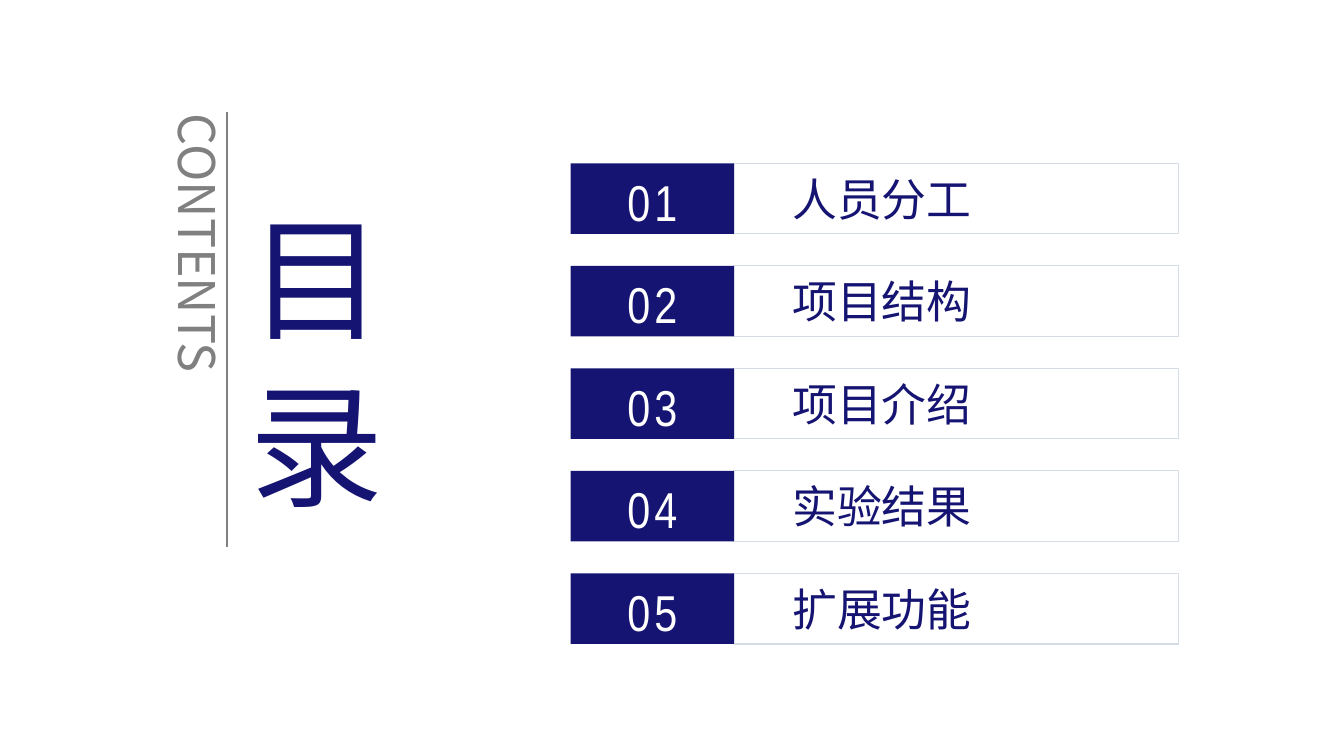
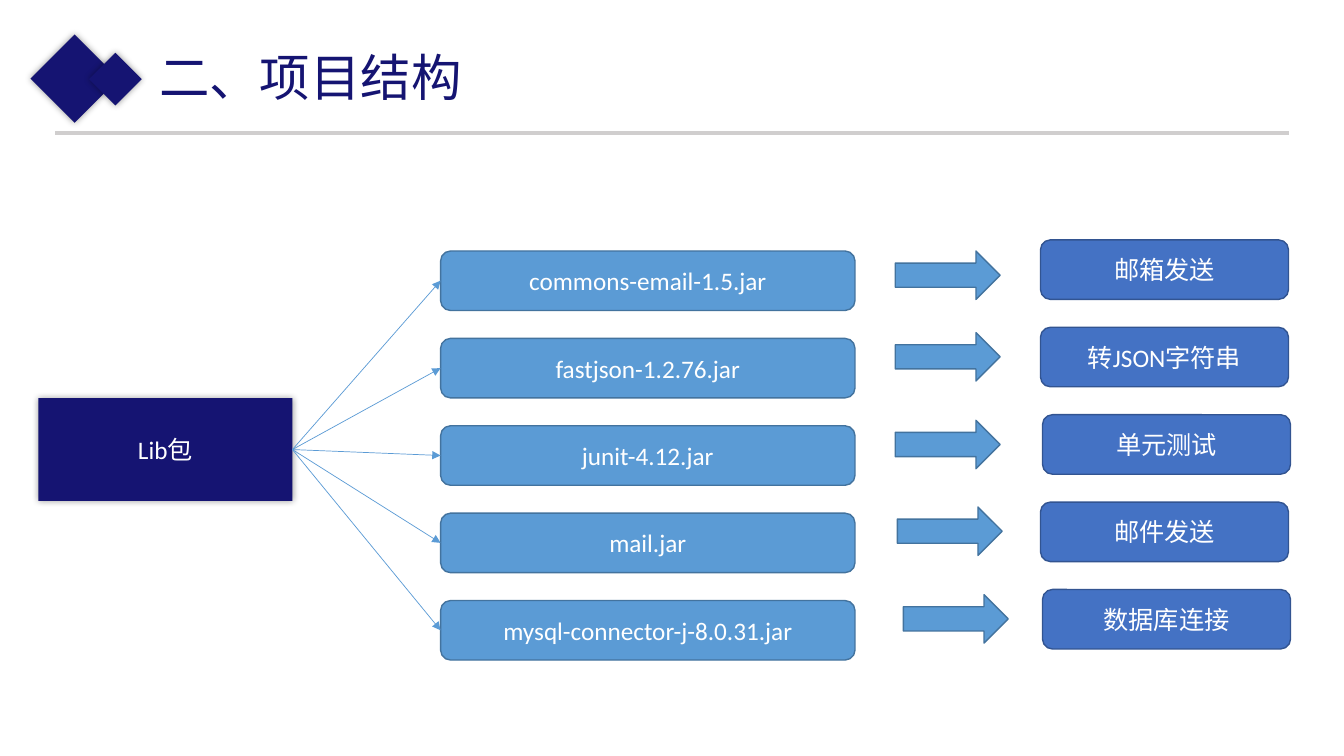
from lxml import etree
from pptx import Presentation
from pptx.dml.color import RGBColor
from pptx.enum.shapes import MSO_CONNECTOR, MSO_SHAPE
from pptx.enum.text import MSO_ANCHOR, MSO_AUTO_SIZE, PP_ALIGN
from pptx.oxml import parse_xml
from pptx.oxml.ns import nsdecls, qn
from pptx.util import Inches, Pt

RECT = MSO_SHAPE.RECTANGLE
ROUNDED = MSO_SHAPE.ROUNDED_RECTANGLE
RIGHT_ARROW = MSO_SHAPE.RIGHT_ARROW
STRAIGHT = MSO_CONNECTOR.STRAIGHT
CENTER = PP_ALIGN.CENTER
MIDDLE = MSO_ANCHOR.MIDDLE
FIT_TEXT = MSO_AUTO_SIZE.SHAPE_TO_FIT_TEXT

NAVY, WHITE, GRAY = "151472", "FFFFFF", "808080"
FRAME_GRAY, RULE_GRAY = "D6DCE5", "D0CECE"
SKY, SKY_EDGE = "5B9BD5", "43739E"
BLUE, BLUE_EDGE = "4472C4", "325491"

HAN_JP, HAN_SC = "Noto Sans CJK JP", "Noto Sans CJK SC"
CALIBRI, NARROW = "Calibri", "Arial Narrow"
RIGHT_SITE, LEFT_SITE = 3, 1

CHAPTERS = ["人员分工", "项目结构", "项目介绍", "实验结果", "扩展功能"]
# library, its use, left of the use box, left and top of the arrow
LIBRARIES = [
    ("commons-email-1.5.jar", "邮箱发送", 10.32, 8.88, 2.49),
    ("fastjson-1.2.76.jar", "转JSON字符串", 10.32, 8.88, 3.3),
    ("junit-4.12.jar", "单元测试", 10.34, 8.88, 4.17),
    ("mail.jar", "邮件发送", 10.32, 8.9, 5.03),
    ("mysql-connector-j-8.0.31.jar", "数据库连接", 10.34, 8.96, 5.9),
]


def rgb(color):
    return RGBColor.from_string(color)


def inches(values):
    return [Inches(value) for value in values]


def write(frame, text, size, color, latin, han=HAN_SC, align=None, spacing=0):
    """Fill a text frame with one paragraph; spacing is in points."""
    paragraph = frame.paragraphs[0]
    paragraph.text = text
    paragraph.alignment = align
    font = paragraph.font
    font.size = Pt(size)
    font.name = latin
    font.color.rgb = rgb(color)
    properties = font._rPr
    etree.SubElement(properties, qn("a:ea")).set("typeface", han)
    if spacing:
        properties.set("spc", str(spacing * 100))


def add_text(slide, at, text, size, color, han, wrap=False, vertical=False):
    box = slide.shapes.add_textbox(*inches(at))
    frame = box.text_frame
    frame.word_wrap = wrap
    frame.auto_size = FIT_TEXT
    if vertical:
        box.element.txBody.bodyPr.set("vert", "eaVert")
    write(frame, text, size, color, han, han)


def add_block(shapes, kind, at, fill=None, edge=None):
    block = shapes.add_shape(kind, *inches(at))
    block.shadow.inherit = False
    if fill:
        block.fill.solid()
        block.fill.fore_color.rgb = rgb(fill)
    else:
        block.fill.background()
    if edge:
        block.line.color.rgb = rgb(edge)
        block.line.width = Pt(1)
    else:
        block.line.fill.background()
    return block


def add_label(block, text, latin=CALIBRI, size=18, han=HAN_SC, spacing=0):
    frame = block.text_frame
    frame.vertical_anchor = MIDDLE
    write(frame, text, size, WHITE, latin, han, CENTER, spacing)


def add_glow(block):
    """Add a soft dark halo around a block."""
    effects = block.element.spPr.find(qn("a:effectLst"))
    effects.append(parse_xml(
        f'<a:outerShdw {nsdecls("a")} blurRad="{Pt(5)}" dist="0" dir="0" '
        'algn="ctr" rotWithShape="0"><a:srgbClr val="000000">'
        '<a:alpha val="40000"/></a:srgbClr></a:outerShdw>'))


def add_line(slide, start, end, color, width):
    line = slide.shapes.add_connector(STRAIGHT, *inches(start + end))
    line.line.color.rgb = rgb(color)
    line.line.width = Pt(width)
    etree.SubElement(line.element.spPr, qn("a:effectLst"))
    return line


def link(slide, source, target):
    """Draw an arrow from the right side of source to the left of target."""
    arrow = add_line(slide, (0, 0), (1, 1), SKY, 0.5)
    arrow.begin_connect(source, RIGHT_SITE)
    arrow.end_connect(target, LEFT_SITE)
    outline = arrow.element.spPr.find(qn("a:ln"))
    etree.SubElement(outline, qn("a:tailEnd")).set("type", "triangle")


def add_header(slide, title):
    add_line(slide, (0.55, 1.32), (12.78, 1.32), RULE_GRAY, 2.25)
    for left, top, side in ((0.43, 0.47, 0.62), (0.96, 0.6, 0.37)):
        diamond = add_block(slide.shapes, RECT, (left, top, side, side), NAVY)
        diamond.rotation = 315
        add_glow(diamond)
    add_text(slide, (1.48, 0.41, 6.21, 0.71), title, 36, NAVY, HAN_JP, wrap=True)


def add_chapter(slide, number, chapter):
    top = 1.62 + 1.017 * (number - 1)
    row = slide.shapes.add_group_shape().shapes
    add_block(row, RECT, (7.28, top, 4.41, 0.7), edge=FRAME_GRAY)
    badge = add_block(row, RECT, (5.66, top, 1.62, 0.7), NAVY)
    badge.text_frame.margin_bottom = 0
    add_label(badge, f"{number:02}", NARROW, 36, spacing=3)
    add_text(slide, (7.76, top + 0.03, 2, 0.64), chapter, 32, NAVY, HAN_JP)


def build_contents(slide):
    add_text(slide, (2.12, 2, 1.82, 3.47), "目 录", 96, NAVY, HAN_JP, vertical=True)
    add_text(slide, (1.51, 1.03, 0.81, 2.72), "CONTENTS", 36, GRAY, HAN_SC,
             vertical=True)
    add_line(slide, (2.25, 1.11), (2.25, 5.43), GRAY, 1.5)
    for number, chapter in enumerate(CHAPTERS, 1):
        add_chapter(slide, number, chapter)


def build_structure(slide):
    add_header(slide, "二、项目结构")
    shapes = slide.shapes
    package_box = add_block(shapes, RECT, (0.38, 3.95, 2.52, 1.02), NAVY)
    add_glow(package_box)
    add_label(package_box, "Lib包", han=HAN_JP)
    for index, (library, use, use_left, arrow_left, arrow_top) in enumerate(LIBRARIES):
        drop = 0.867 * index
        use_box = add_block(shapes, ROUNDED, (use_left, 2.38 + drop, 2.46, 0.59),
                            BLUE, BLUE_EDGE)
        add_label(use_box, use)
        library_box = add_block(shapes, ROUNDED, (4.37, 2.49 + drop, 4.11, 0.59),
                                SKY, SKY_EDGE)
        add_label(library_box, library)
        add_block(shapes, RIGHT_ARROW, (arrow_left, arrow_top, 1.04, 0.48),
                  SKY, SKY_EDGE)
        link(slide, package_box, library_box)


def main():
    deck = Presentation()
    deck.slide_width, deck.slide_height = Inches(13.33), Inches(7.5)
    blank = deck.slide_layouts[6]
    for build in (build_contents, build_structure):
        build(deck.slides.add_slide(blank))
    deck.save("out.pptx")


if __name__ == "__main__":
    main()
